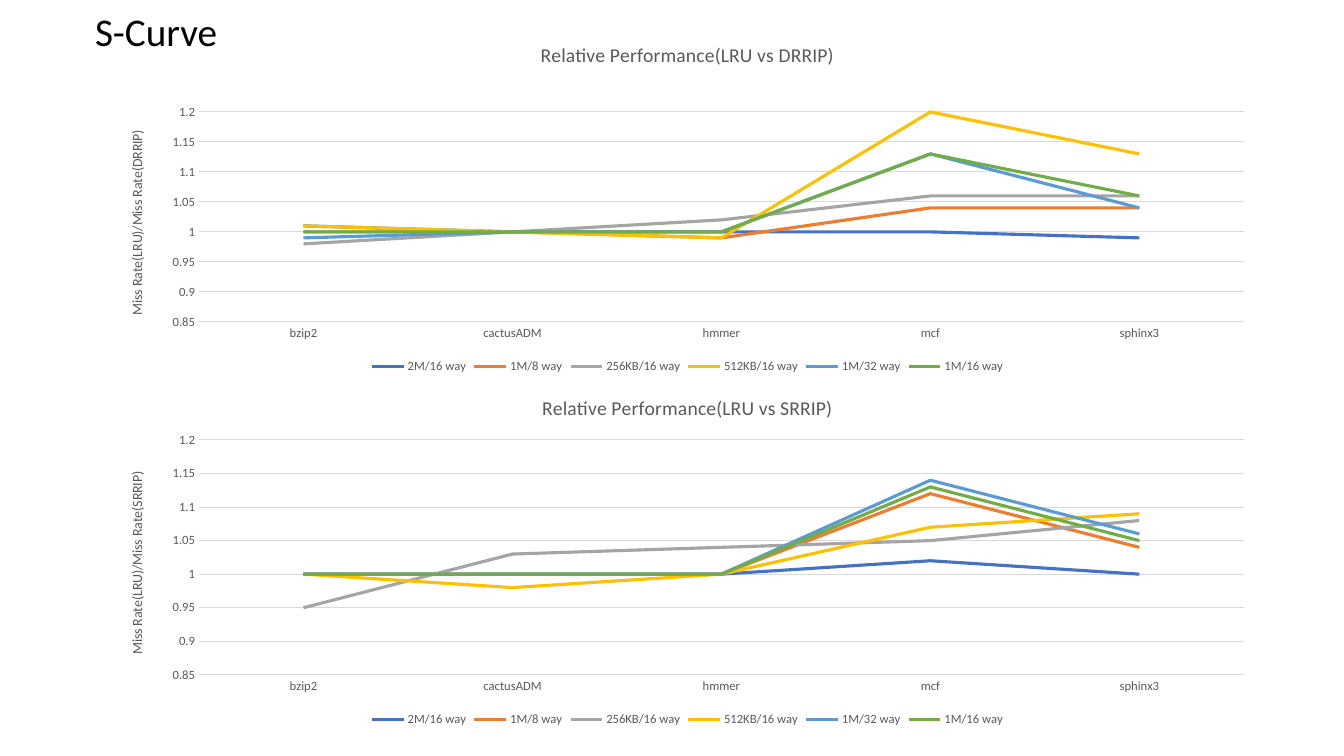
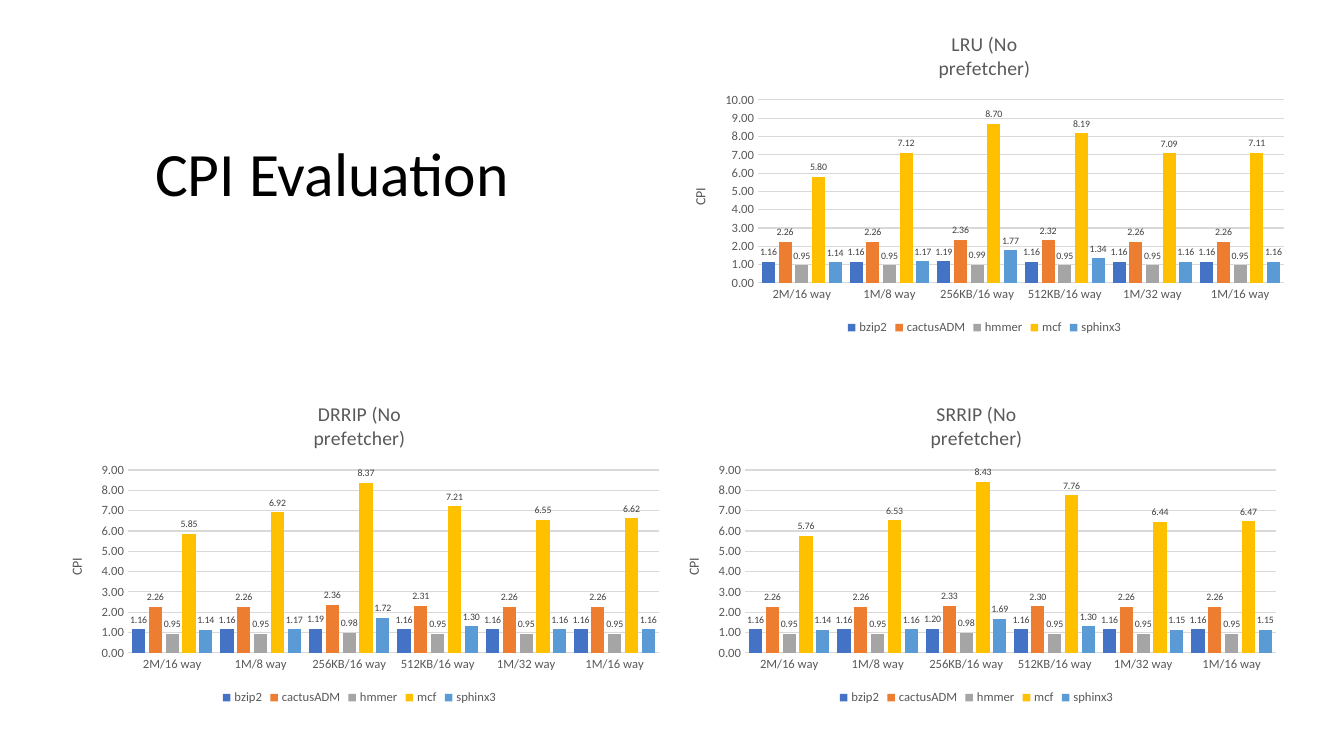
from pptx import Presentation
from pptx.chart.data import CategoryChartData
from pptx.dml.color import RGBColor
from pptx.enum.chart import XL_CHART_TYPE as ChartType, XL_LABEL_POSITION as LabelPos
from pptx.enum.chart import XL_LEGEND_POSITION as LegendPos, XL_MARKER_STYLE as Marker
from pptx.enum.chart import XL_TICK_MARK as Tick
from pptx.enum.text import MSO_ANCHOR as Anchor, MSO_AUTO_SIZE as AutoSize, PP_ALIGN as Align
from pptx.oxml import parse_xml
from pptx.oxml.ns import nsdecls, qn
from pptx.util import Emu, Pt

FONT = "Calibri"
COLORS = {"title": "000000", "chart": "595959", "label": "404040", "grid": "D9D9D9"}
SERIES_COLORS = ["4472C4", "ED7D31", "A5A5A5", "FFC000", "5B9BD5", "70AD47"]
BENCHMARKS = ["bzip2", "cactusADM", "hmmer", "mcf", "sphinx3"]
CACHES = ["2M/16 way", "1M/8 way", "256KB/16 way", "512KB/16 way", "1M/32 way", "1M/16 way"]

CURVE_STYLE = dict(kind=ChartType.LINE, categories=BENCHMARKS, names=CACHES,
                   scale=(0.85, 1.2, 0.05), number_format="General")
CPI_STYLE = dict(kind=ChartType.COLUMN_CLUSTERED, categories=CACHES, names=BENCHMARKS,
                 axis_title="CPI", number_format="0.00")

SLIDES = [
    dict(title="S-Curve", size=28, box=(85, 8, 259, 52), style=CURVE_STYLE, charts=[
        dict(title="Relative Performance(LRU vs DRRIP)",
             axis_title="Miss Rate(LRU)/Miss Rate(DRRIP)",
             box=(108, 25, 1159, 353), plot=(91, 87, 1045, 210),
             values=[[1.01, 1, 1, 1, 0.99],
                     [1, 1, 0.99, 1.04, 1.04],
                     [0.98, 1, 1.02, 1.06, 1.06],
                     [1.01, 1, 0.99, 1.2, 1.13],
                     [0.99, 1, 1, 1.13, 1.04],
                     [1, 1, 1, 1.13, 1.06]]),
        dict(title="Relative Performance(LRU vs SRRIP)",
             axis_title="Miss Rate(LRU)/Miss Rate(SRRIP)",
             box=(108, 378, 1159, 353), plot=(91, 62, 1045, 235),
             values=[[1, 1, 1, 1.02, 1],
                     [1, 1, 1, 1.12, 1.04],
                     [0.95, 1.03, 1.04, 1.05, 1.08],
                     [1, 0.98, 1, 1.07, 1.09],
                     [1, 1, 1, 1.14, 1.06],
                     [1, 1, 1, 1.13, 1.05]]),
    ]),
    dict(title="CPI Evaluation", size=44, box=(145, 104, 1159, 146), style=CPI_STYLE, charts=[
        dict(title="DRRIP (No\nprefetcher)", scale=(0, 9, 1),
             box=(47, 386, 625, 323), plot=(81, 84, 531, 183),
             values=[[1.16, 1.16, 1.19, 1.16, 1.16, 1.16],
                     [2.26, 2.26, 2.36, 2.31, 2.26, 2.26],
                     [0.95, 0.95, 0.98, 0.95, 0.95, 0.95],
                     [5.85, 6.92, 8.37, 7.21, 6.55, 6.62],
                     [1.14, 1.17, 1.72, 1.3, 1.16, 1.16]]),
        dict(title="LRU (No\nprefetcher)", scale=(0, 10, 1),
             box=(672, 16, 625, 323), plot=(86, 84, 526, 183),
             values=[[1.16, 1.16, 1.19, 1.16, 1.16, 1.16],
                     [2.26, 2.26, 2.36, 2.32, 2.26, 2.26],
                     [0.95, 0.95, 0.99, 0.95, 0.95, 0.95],
                     [5.8, 7.12, 8.7, 8.19, 7.09, 7.11],
                     [1.14, 1.17, 1.77, 1.34, 1.16, 1.16]]),
        dict(title="SRRIP (No\nprefetcher)", scale=(0, 9, 1),
             box=(664, 386, 625, 323), plot=(81, 84, 531, 183),
             values=[[1.16, 1.16, 1.2, 1.16, 1.16, 1.16],
                     [2.26, 2.26, 2.33, 2.3, 2.26, 2.26],
                     [0.95, 0.95, 0.98, 0.95, 0.95, 0.95],
                     [5.76, 6.53, 8.43, 7.76, 6.44, 6.47],
                     [1.14, 1.16, 1.69, 1.3, 1.15, 1.15]]),
    ]),
]


def px(length):
    return Emu(round(length * 914400 / 100.8))


def rgb(name):
    return RGBColor.from_string(COLORS.get(name, name))


def set_font(font, size, color):
    font.name, font.size, font.bold = FONT, Pt(size), False
    font.color.rgb = rgb(color)


def write(frame, text, size, color="chart", align=None, spacing=None):
    frame.text = text
    for paragraph in frame.paragraphs:
        paragraph.alignment, paragraph.line_spacing = align, spacing
        for run in paragraph.runs:
            set_font(run.font, size, color)


def add_title(slide, text, size, box):
    title = slide.shapes.title
    title.left, title.top, title.width, title.height = map(px, box)
    frame = title.text_frame
    frame.auto_size, frame.vertical_anchor = AutoSize.NONE, Anchor.MIDDLE
    write(frame, text, size, "title", Align.LEFT, 0.9)


def place_plot(chart, plot, box):
    area = chart.element.find(f".//{qn('c:plotArea')}")
    for old in area.findall(qn("c:layout")):
        area.remove(old)
    parts = zip("xywh", plot, (box[2], box[3]) * 2)
    shares = "".join(f'<c:{key} val="{part / whole:.4f}"/>' for key, part, whole in parts)
    area.insert(0, parse_xml(
        f'<c:layout {nsdecls("c")}><c:manualLayout><c:layoutTarget val="inner"/>'
        f'<c:xMode val="edge"/><c:yMode val="edge"/>{shares}</c:manualLayout></c:layout>'))


def style_axes(chart, axis_title, scale, number_format):
    names, values = chart.category_axis, chart.value_axis
    for axis in (names, values):
        axis.major_tick_mark = axis.minor_tick_mark = Tick.NONE
        set_font(axis.tick_labels.font, 9, "chart")
    values.minimum_scale, values.maximum_scale, values.major_unit = scale
    values.tick_labels.number_format = number_format
    values.tick_labels.number_format_is_linked = False
    values.format.line.fill.background()
    values.has_major_gridlines = True
    for line in (names.format.line, values.major_gridlines.format.line):
        line.color.rgb, line.width = rgb("grid"), Pt(0.75)
    frame = values.axis_title.text_frame
    write(frame, axis_title, 10)
    frame._txBody.bodyPr.set("rot", "-5400000")
    frame._txBody.bodyPr.set("vert", "horz")


def style_series(plot, number_format):
    plot.vary_by_categories = False
    is_line = hasattr(plot.series[0], "smooth")
    for series, color in zip(plot.series, SERIES_COLORS):
        if is_line:
            series.smooth, series.marker.style = False, Marker.NONE
            series.format.line.color.rgb, series.format.line.width = rgb(color), Pt(2.25)
        else:
            series.format.fill.solid()
            series.format.fill.fore_color.rgb = rgb(color)
    if not is_line:
        plot.gap_width, plot.overlap, plot.has_data_labels = 60, -27, True
        labels = plot.data_labels
        labels.show_value, labels.position = True, LabelPos.OUTSIDE_END
        labels.number_format, labels.number_format_is_linked = number_format, False
        set_font(labels.font, 7, "label")


def add_chart(slide, kind, categories, names, title, axis_title, box, plot, values, scale,
              number_format):
    data = CategoryChartData(number_format=number_format)
    data.categories = categories
    for name, row in zip(names, values):
        data.add_series(name, row)
    chart = slide.shapes.add_chart(kind, *map(px, box), data).chart
    set_font(chart.font, 10, "title")
    chart.has_title = True
    write(chart.chart_title.text_frame, title, 14)
    chart.chart_title.include_in_layout = False
    chart.has_legend = True
    chart.legend.position, chart.legend.include_in_layout = LegendPos.BOTTOM, False
    set_font(chart.legend.font, 9, "chart")
    style_axes(chart, axis_title, scale, number_format)
    style_series(chart.plots[0], number_format)
    place_plot(chart, plot, box)


def main():
    deck = Presentation()
    deck.slide_width, deck.slide_height = px(1344), px(756)
    for content in SLIDES:
        slide = deck.slides.add_slide(deck.slide_layouts[5])
        add_title(slide, content["title"], content["size"], content["box"])
        for chart in content["charts"]:
            add_chart(slide, **content["style"], **chart)
    deck.save("out.pptx")


if __name__ == "__main__":
    main()
